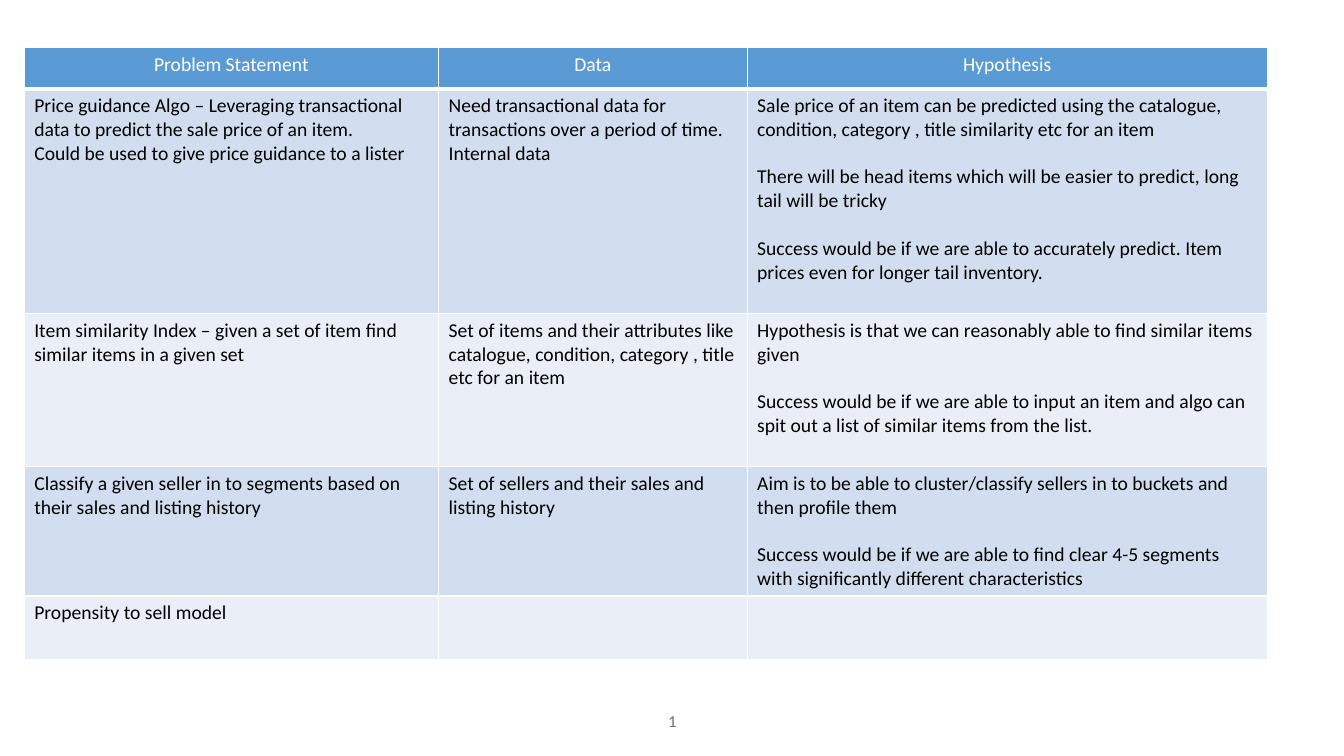
from lxml.etree import SubElement as Sub
from pptx import Presentation
from pptx.dml.color import RGBColor as RGB
from pptx.enum.text import MSO_ANCHOR as Anchor, PP_ALIGN as Align
from pptx.oxml.ns import qn
from pptx.util import Inches, Pt

WHITE = RGB(0xFF, 0xFF, 0xFF)
BLACK = RGB(0, 0, 0)
GREY = RGB(0x79, 0x6E, 0x65)
BLUE = RGB(0x5B, 0x9B, 0xD5)
BANDS = [RGB(0xD2, 0xDE, 0xEF), RGB(0xEA, 0xEF, 0xF7)]

COLS = [4.11, 3.06, 5.16]
HEADS = ["Problem Statement", "Data", "Hypothesis"]
# Each row: height, then one list of paragraphs per column
ROWS = [
    (2.23,
     ["Price guidance Algo – Leveraging transactional data to predict "
      "the sale price of an item.",
      "Could be used to give price guidance to a lister"],
     ["Need transactional data for transactions over a period of time. ",
      "Internal data"],
     ["Sale price of an item can be predicted using the catalogue, "
      "condition, category , title similarity etc for an item ",
      "There will be head items which will be easier to predict, "
      "long tail will be tricky",
      "Success would be if we are able to accurately predict. "
      "Item prices even for longer tail inventory. "]),
    (1.52,
     ["Item similarity Index – given a set of item find similar items "
      "in a given set"],
     ["Set of items and their attributes like catalogue, condition, "
      "category , title etc for an item "],
     ["Hypothesis is that we can reasonably able to find similar items "
      "given ",
      "Success would be if we are able to input an item and algo can "
      "spit out a list of similar items from the list. "]),
    (1.28,
     ["Classify a given seller in to segments based on their sales "
      "and listing history"],
     ["Set of sellers and their sales and listing history"],
     ["Aim is to be able to cluster/classify sellers in to buckets "
      "and then profile them ",
      "Success would be if we are able to find clear 4-5 segments "
      "with significantly different characteristics"]),
    (0.63, ["Propensity to sell model"], [], []),
]


def write(frame, paras, size=14, color=BLACK, align=Align.LEFT, gap=0):
    """Fill a text frame with paragraphs, gap points apart."""
    for i, text in enumerate(paras):
        para = frame.paragraphs[0] if i == 0 else frame.add_paragraph()
        para.alignment = align
        para.space_before = Pt(gap if i else 0)
        run = para.add_run()
        run.text = text
        font = run.font
        font.name, font.size, font.bold = "Calibri", Pt(size), False
        font.color.rgb = color


def paint(cell, fill, base=1):
    """Give a cell white borders and a fill; base is the bottom width."""
    props = cell._tc.get_or_add_tcPr()
    for side, width in (("L", 1), ("R", 1), ("T", 1), ("B", base)):
        line = Sub(props, qn("a:ln" + side), w=str(Pt(width)))
        Sub(Sub(line, qn("a:solidFill")), qn("a:srgbClr"), val=str(WHITE))
    cell.fill.solid()
    cell.fill.fore_color.rgb = fill


def add_grid(slide, left, top, width):
    """Place the table of problems, data and hypotheses."""
    tall = 0.41 + sum(row[0] for row in ROWS)
    grid = slide.shapes.add_table(
        len(ROWS) + 1, len(COLS), Inches(left), Inches(top),
        Inches(width), Inches(tall)).table
    for col, share in zip(grid.columns, COLS):
        col.width = Inches(width * share / sum(COLS))
    grid.rows[0].height = Inches(0.41)
    for cell, head in zip(grid.rows[0].cells, HEADS):
        paint(cell, BLUE, base=3)
        write(cell.text_frame, [head], color=WHITE, align=Align.CENTER)
    for i, (height, *texts) in enumerate(ROWS):
        row = grid.rows[i + 1]
        row.height = Inches(height)
        for j, (cell, paras) in enumerate(zip(row.cells, texts)):
            paint(cell, BANDS[i % 2])
            write(cell.text_frame, paras, gap=17 if j == 2 else 0)


def add_number(slide, left, top, width, height):
    """Place the page number, centred in its box."""
    box = slide.shapes.add_textbox(
        Inches(left), Inches(top), Inches(width), Inches(height))
    frame = box.text_frame
    frame.word_wrap = True
    frame.vertical_anchor = Anchor.MIDDLE
    write(frame, ["1"], size=12, color=GREY, align=Align.CENTER)


def main():
    """Build the slide and save it."""
    deck = Presentation()
    deck.slide_width, deck.slide_height = Inches(13.33), Inches(7.5)
    slide = deck.slides.add_slide(deck.slide_layouts[6])
    add_grid(slide, 0.24, 0.47, 12.33)
    add_number(slide, 4.42, 6.95, 4.5, 0.4)
    deck.save("out.pptx")


main()
